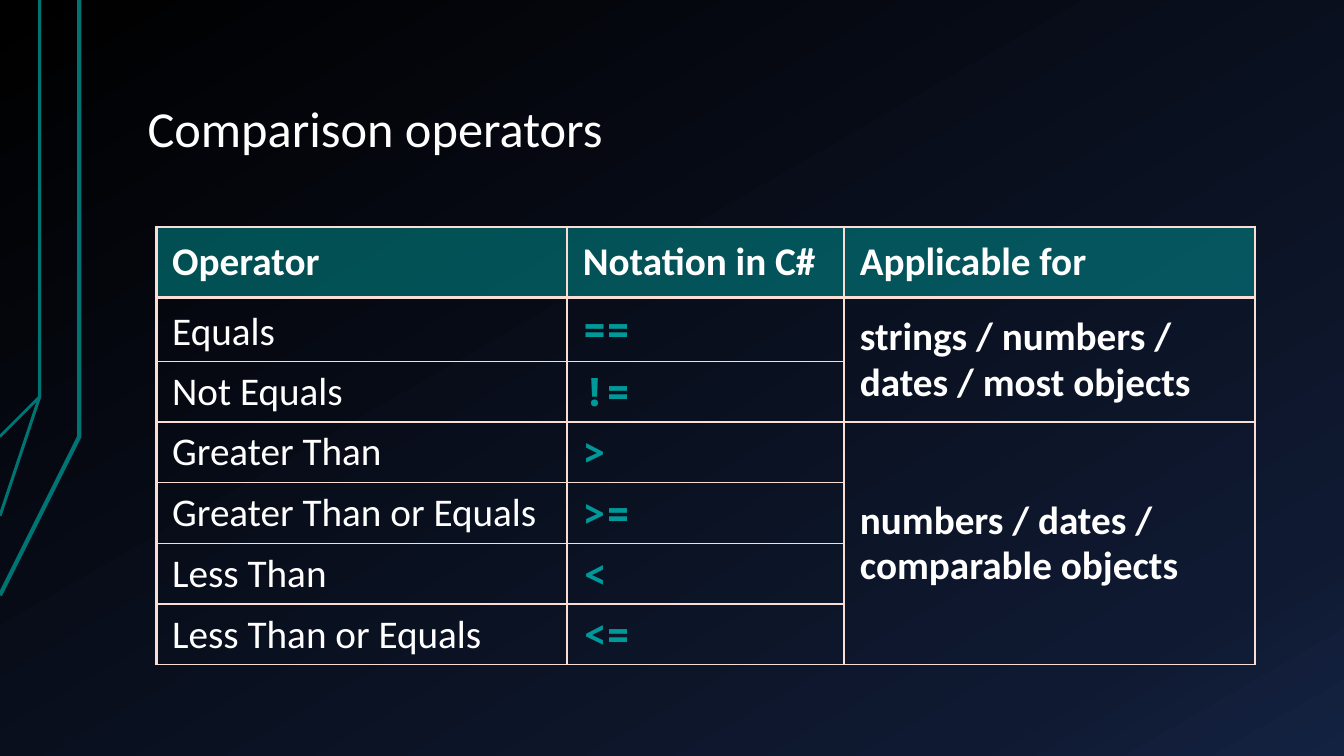
import copy

import pptx
import pptx.dml.color
import pptx.enum.text
import pptx.oxml
import pptx.oxml.ns
import pptx.util

Cm = pptx.util.Cm
Pt = pptx.util.Pt
RGBColor = pptx.dml.color.RGBColor
MSO_ANCHOR = pptx.enum.text.MSO_ANCHOR
qn = pptx.oxml.ns.qn

WHITE = RGBColor(0xFF, 0xFF, 0xFF)
TEAL = RGBColor(0x00, 0x99, 0x99)
DARK_TEAL = RGBColor(0x00, 0x73, 0x73)
BORDER = RGBColor(0xFA, 0xDD, 0xD5)
BACKGROUND = [
    (0, RGBColor(0x00, 0x00, 0x00)),
    (0.85, RGBColor(0x0F, 0x19, 0x31)),
    (1, RGBColor(0x14, 0x22, 0x42)),
]
NO_TABLE_STYLE = "{2D5ABB26-0587-4C30-8999-92F81FD0307C}"
THICK, THIN = 2.25, 1

HEADER = ["Operator", "Notation in C#", "Applicable for"]
OPERATORS = [
    ("Equals", "=="),
    ("Not Equals", "!="),
    ("Greater Than", ">"),
    ("Greater Than or Equals", ">="),
    ("Less Than", "<"),
    ("Less Than or Equals", "<="),
]
# First row, last row and text of each merged cell in the last column
APPLICABLE = [
    (1, 2, "strings / numbers / dates / most objects"),
    (3, 6, "numbers / dates / comparable objects"),
]
COLUMN_WIDTHS = [10.35, 6.98, 10.36]
ROW_HEIGHTS = [1.78, 1.59] + [1.53] * 5

# Points in cm and line width of each decorative line
CORNER_LINES = [
    ([(-0.03, 14.53), (2.24, 11.05), (2.24, 0)], 3),
    ([(-0.05, 12.67), (1.47, 10.36), (1.47, 0)], 2.25),
    ([(-0.03, 11.02), (0.86, 9.68), (0.86, 0)], 2),
]


class SlideBuilder:
    font = "Calibri"
    code_font = "Noto Sans Mono"

    def __init__(self, slide):
        self.s = slide

    def background(self, stops, angle):
        """Fill the background with a gradient; angle is counter-clockwise."""
        fill = self.s.background.fill
        fill.gradient()
        fill.gradient_angle = angle
        gs_list = fill._fill._gradFill.find(qn("a:gsLst"))
        gs_list.append(copy.deepcopy(gs_list[-1]))
        for stop, (position, color) in zip(fill.gradient_stops, stops):
            stop.position = position
            stop.color.rgb = color

    def polyline(self, points, width):
        builder = self.s.shapes.build_freeform(*points[0], scale=Cm(1))
        builder.add_line_segments(points[1:], close=False)
        sp = builder.convert_to_shape()
        sp.shadow.inherit = False
        sp.fill.background()
        sp.line.color.rgb = DARK_TEAL
        sp.line.width = Pt(width)

    def set_text(self, tf, text, size, color=WHITE, bold=False, font=None, spacing=0.95):
        tf.word_wrap = True
        tf.text = text
        p = tf.paragraphs[0]
        p.line_spacing = spacing
        r = p.runs[0]
        r.font.name = font or self.font
        r.font.size = Pt(size)
        r.font.bold = bold
        r.font.color.rgb = color

    def title(self, text, left, top, width, height):
        tf = self.s.shapes.add_textbox(Cm(left), Cm(top), Cm(width), Cm(height)).text_frame
        tf.margin_left = tf.margin_right = Cm(0.34)
        tf.margin_top = tf.margin_bottom = Cm(0.17)
        tf.vertical_anchor = MSO_ANCHOR.BOTTOM
        self.set_text(tf, text, 36, spacing=0.9)

    def table(self, left, top, widths, heights):
        """Add a plain table without style and return it."""
        frame = self.s.shapes.add_table(
            len(heights), len(widths), Cm(left), Cm(top), Cm(sum(widths)), Cm(sum(heights)))
        table = frame.table
        table.first_row = table.horz_banding = False
        table._tbl.tblPr.find(qn("a:tableStyleId")).text = NO_TABLE_STYLE
        for column, width in zip(table.columns, widths):
            column.width = Cm(width)
        for row, height in zip(table.rows, heights):
            row.height = Cm(height)
        return table

    def cell(self, cell, text, **style):
        cell.margin_left = cell.margin_right = Cm(0.4)
        cell.margin_top = cell.margin_bottom = Cm(0.13)
        cell.vertical_anchor = MSO_ANCHOR.MIDDLE
        self.set_text(cell.text_frame, text, 28, **style)

    def borders(self, cell, widths):
        """Draw the sides given as a dict of L, R, T, B to points."""
        tc_pr = cell._tc.get_or_add_tcPr()
        for side in "LRTB":
            if side in widths:
                tc_pr.append(pptx.oxml.parse_xml(
                    f'<a:ln{side} {pptx.oxml.ns.nsdecls("a")} w="{Pt(widths[side])}">'
                    f'<a:solidFill><a:srgbClr val="{BORDER}"/></a:solidFill></a:ln{side}>'))

    def cell_fill(self, cell, color=None, alpha=50):
        if color is None:
            cell.fill.background()
            return
        cell.fill.solid()
        cell.fill.fore_color.rgb = color
        clr = cell._tc.tcPr.find(qn("a:solidFill"))[0]
        clr.append(pptx.oxml.parse_xml(
            f'<a:alpha {pptx.oxml.ns.nsdecls("a")} val="{alpha * 1000}"/>'))


def add_operator_table(builder):
    table = builder.table(3.94, 5.72, COLUMN_WIDTHS, ROW_HEIGHTS)
    for col, heading in enumerate(HEADER):
        builder.cell(table.cell(0, col), heading, bold=True)
    for row, (name, notation) in enumerate(OPERATORS, start=1):
        spacing = Pt(38) if row == 1 else 0.95
        builder.cell(table.cell(row, 0), name, spacing=spacing)
        builder.cell(table.cell(row, 1), notation, color=TEAL, bold=True,
                     font=builder.code_font)
    for first, last, text in APPLICABLE:
        table.cell(first, 2).merge(table.cell(last, 2))
        builder.cell(table.cell(first, 2), text, bold=True)

    last_rows = [last for _, last, _ in APPLICABLE]
    for row in range(len(ROW_HEIGHTS)):
        for col in range(len(HEADER)):
            cell = table.cell(row, col)
            sides = {
                "L": THIN if col == 1 else THICK,
                "R": THIN if col == 0 else THICK,
                "T": THICK if row < 2 else THIN,
                "B": THICK if row == 0 else THIN,
            }
            if cell.is_spanned:
                del sides["T"]
                if row not in last_rows:
                    del sides["B"]
            builder.borders(cell, sides)
            builder.cell_fill(cell, TEAL if row == 0 else None)


def main():
    prs = pptx.Presentation()
    prs.slide_width, prs.slide_height = Cm(33.87), Cm(19.05)
    builder = SlideBuilder(prs.slides.add_slide(prs.slide_layouts[6]))
    builder.background(BACKGROUND, 300)
    for points, width in CORNER_LINES:
        builder.polyline(points, width)
    builder.title("Comparison operators", 3.38, 0.76, 28.78, 3.4)
    add_operator_table(builder)
    prs.save("out.pptx")


if __name__ == "__main__":
    main()
